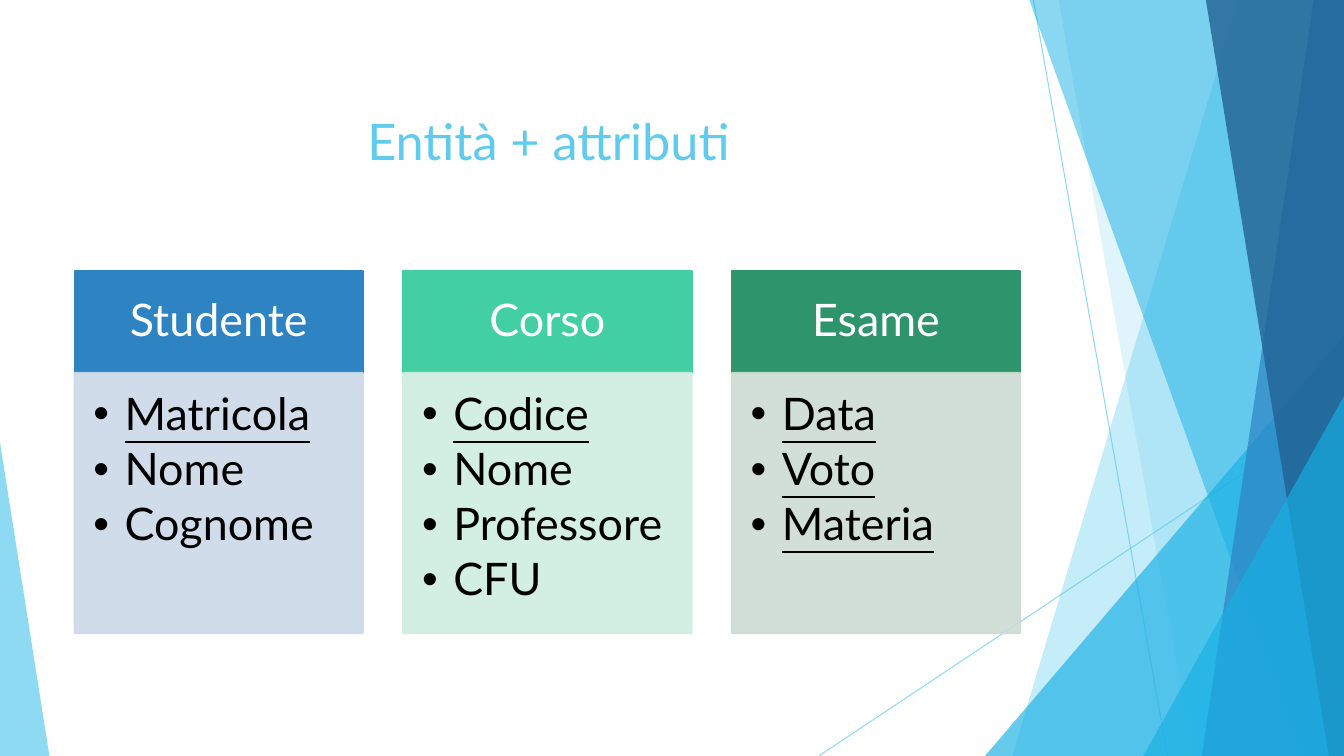
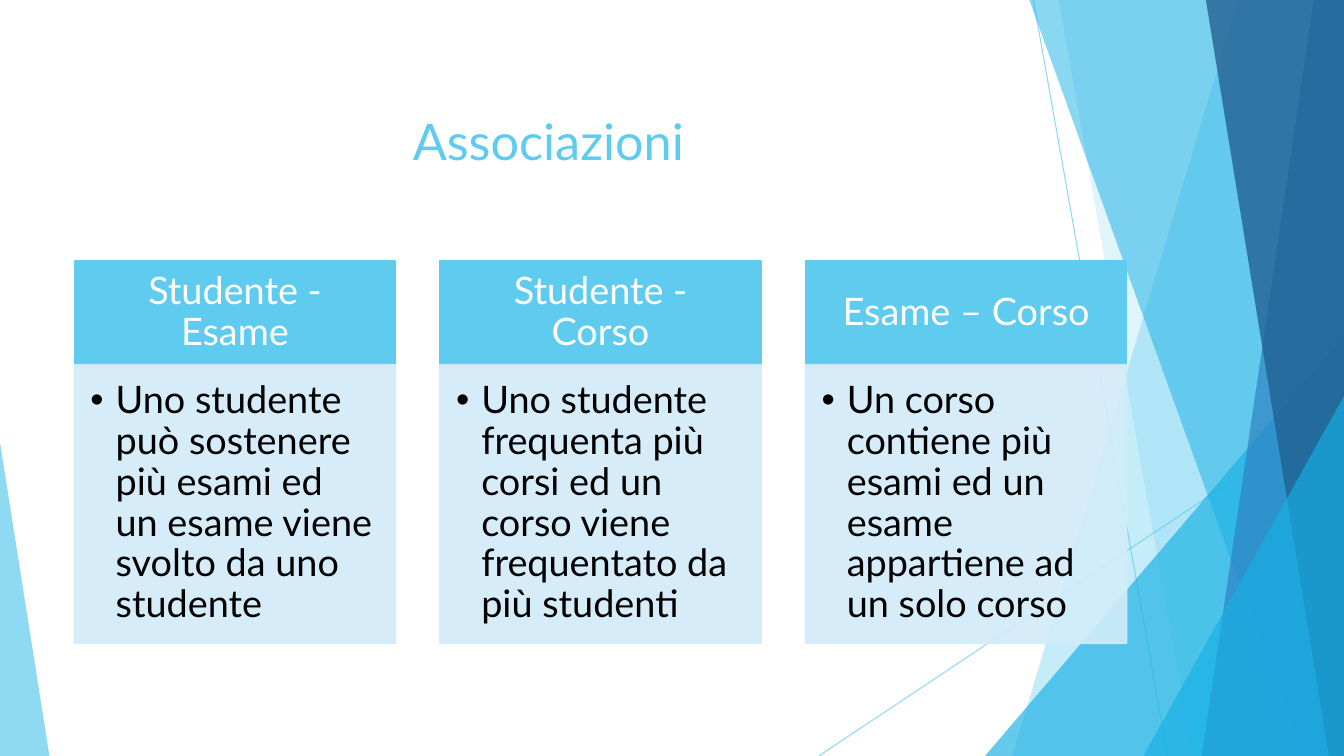
"""Build two slides on the entities and the associations of a data model."""
from dataclasses import dataclass

import lxml.etree
import pptx
import pptx.dml.color
import pptx.enum.shapes
import pptx.enum.text
import pptx.oxml.ns
import pptx.util

WIDTH = pptx.util.Inches(13.33)
HEIGHT = pptx.util.Inches(7.5)
FONT = "Lato"
LEFT_MARGIN = 5.55
COLUMN_PITCH = 1.14
COLORS = {
    "sky": "5FCBEF", "cyan": "17B0E4", "blue": "2E83C3", "navy": "226292",
    "mint": "42D0A2", "green": "2E946B", "white": "FFFFFF", "black": "000000",
    "sky tint": "D2ECF9", "blue tint": "CDD9E9",
    "mint tint": "CFEEE0", "green tint": "CDDCD4",
}


@dataclass(frozen=True)
class Ray:
    """A thin line, with its ends in percent of the slide."""
    start: tuple[float, float]
    end: tuple[float, float]


@dataclass(frozen=True)
class Band:
    """A full-height band from a slanted left edge to the right slide edge."""
    top: float
    bottom: float
    color: str
    opacity: int


@dataclass(frozen=True)
class Corner:
    """A right triangle standing on the bottom of the slide."""
    left: float
    top: float
    width: float
    apex: int
    opacity: int
    color: str


@dataclass(frozen=True)
class Card:
    """A heading over a list whose first key_count items are underlined."""
    heading: str
    items: tuple[str, ...]
    color: str
    key_count: int = 0


@dataclass(frozen=True)
class Page:
    """A title and a row of cards, with lengths in percent of the slide."""
    title: str
    cards: tuple[Card, ...]
    column_width: float
    top: float
    heading_height: float
    list_height: float
    size: int
    indent: float


BACKDROP = (
    Ray((76.89, 0), (86.87, 100)),
    Ray((100, 53.73), (60.92, 100)),
    Band(92.12, 75.32, "sky", 36),
    Band(78.77, 88.75, "sky", 20),
    Corner(73.29, 44.4, 26.71, 1, 66, "cyan"),
    Band(76.59, 96.85, "cyan", 50),
    Band(97.75, 89.42, "blue", 70),
    Band(89.72, 98.87, "navy", 80),
    Corner(85.07, 52.4, 14.93, 1, 66, "cyan"),
    Corner(0, 58.53, 3.68, 0, 70, "sky"),
)

PAGES = (
    Page("Entità + attributi", (
        Card("Studente", ("Matricola", "Nome", "Cognome"), "blue", 1),
        Card("Corso", ("Codice", "Nome", "Professore", "CFU"), "mint", 1),
        Card("Esame", ("Data", "Voto", "Materia"), "green", 3),
    ), 21.45, 35.87, 13.47, 34.4, 32, 0.31),
    Page("Associazioni", (
        Card("Studente - Esame", (
            "Uno studente può sostenere più esami ed un esame viene svolto da uno studente",), "sky"),
        Card("Studente - Corso", (
            "Uno studente frequenta più corsi ed un corso viene frequentato da più studenti",), "sky"),
        Card("Esame – Corso", (
            "Un corso contiene più esami ed un esame appartiene ad un solo corso",), "sky"),
    ), 23.86, 34.53, 13.73, 36.8, 27, 0.25),
)


def across(percent: float) -> int:
    """Turn a share of the slide width into a length."""
    return round(WIDTH * percent / 100)


def down(percent: float) -> int:
    """Turn a share of the slide height into a length."""
    return round(HEIGHT * percent / 100)


def rgb(name: str) -> pptx.dml.color.RGBColor:
    """Look up a palette colour."""
    return pptx.dml.color.RGBColor.from_string(COLORS[name])


def set_opacity(shape, percent: int) -> None:
    """Make the fill and line colours of a shape partly transparent."""
    for color in shape.element.spPr.iter(pptx.oxml.ns.qn("a:srgbClr")):
        alpha = lxml.etree.SubElement(color, pptx.oxml.ns.qn("a:alpha"))
        alpha.set("val", str(percent * 1000))


def draw_ray(shapes, ray: Ray) -> None:
    """Draw one thin line of the backdrop."""
    line = shapes.add_connector(
        pptx.enum.shapes.MSO_CONNECTOR.STRAIGHT,
        across(ray.start[0]), down(ray.start[1]), across(ray.end[0]), down(ray.end[1]))
    line.line.color.rgb = rgb("sky")
    line.line.width = pptx.util.Pt(0.75)
    lxml.etree.SubElement(line.element.spPr, pptx.oxml.ns.qn("a:effectLst"))
    set_opacity(line, 70)


def draw_facet(shapes, facet: Band | Corner) -> None:
    """Draw one translucent band or corner of the backdrop."""
    if isinstance(facet, Band):
        outline = shapes.build_freeform(across(facet.top), 0)
        outline.add_line_segments(
            [(WIDTH, 0), (WIDTH, HEIGHT), (across(facet.bottom), HEIGHT)], close=True)
        shape = outline.convert_to_shape()
    else:
        shape = shapes.add_shape(
            pptx.enum.shapes.MSO_SHAPE.ISOSCELES_TRIANGLE, across(facet.left),
            down(facet.top), across(facet.width), down(100 - facet.top))
        shape.adjustments[0] = facet.apex
    shape.shadow.inherit = False
    shape.fill.solid()
    shape.fill.fore_color.rgb = rgb(facet.color)
    shape.line.fill.background()
    set_opacity(shape, facet.opacity)


def move_backdrop_to_layout(slide, layout) -> None:
    """Draw the backdrop once and hand it to the layout of all slides."""
    backdrop = slide.shapes.add_group_shape()
    for part in BACKDROP:
        if isinstance(part, Ray):
            draw_ray(backdrop.shapes, part)
        else:
            draw_facet(backdrop.shapes, part)
    tree = layout.shapes.element
    tree.insert(2, backdrop.element)
    for number, properties in enumerate(tree.iter(pptx.oxml.ns.qn("p:cNvPr")), start=1):
        properties.set("id", str(number))


def place_layout_title(layout) -> None:
    """Set the title position that all slides inherit."""
    title = next(holder for holder in layout.placeholders if holder.placeholder_format.idx == 0)
    title.left, title.top = across(LEFT_MARGIN), down(8.93)
    title.width, title.height = across(70.52), down(19.2)


def style_run(run, size: int, color: str) -> None:
    """Give a run the deck font, a size and a colour."""
    run.font.name = FONT
    run.font.size = pptx.util.Pt(size)
    run.font.color.rgb = rgb(color)


def draw_title(slide, text: str) -> None:
    """Fill the title placeholder."""
    frame = slide.shapes.title.text_frame
    frame.text = text
    frame.vertical_anchor = pptx.enum.text.MSO_ANCHOR.MIDDLE
    frame.paragraphs[0].alignment = pptx.enum.text.PP_ALIGN.CENTER
    style_run(frame.paragraphs[0].runs[0], 36, "sky")


def draw_panel(slide, box: tuple[int, int, int, int], color: str, text: str,
               size: int, insets: tuple[float, float, float, float]):
    """Draw a rectangle with text and insets in ems, and return it."""
    panel = slide.shapes.add_shape(pptx.enum.shapes.MSO_SHAPE.RECTANGLE, *box)
    panel.shadow.inherit = False
    panel.fill.solid()
    panel.fill.fore_color.rgb = rgb(color)
    panel.line.color.rgb = rgb(color)
    panel.line.width = pptx.util.Pt(1.5)
    frame = panel.text_frame
    frame.text = text
    frame.word_wrap = True
    frame.margin_left, frame.margin_top, frame.margin_right, frame.margin_bottom = (
        pptx.util.Pt(inset * size) for inset in insets)
    for paragraph in frame.paragraphs:
        paragraph.line_spacing = 0.9
        paragraph.alignment = pptx.enum.text.PP_ALIGN.CENTER
    return panel


def add_bullet(paragraph, indent: float) -> None:
    """Give a paragraph a hanging bullet."""
    properties = paragraph._p.get_or_add_pPr()
    hang = pptx.util.Inches(indent)
    properties.set("marL", str(hang))
    properties.set("indent", str(-hang))
    lxml.etree.SubElement(properties, pptx.oxml.ns.qn("a:buFont")).set("typeface", "Arial")
    lxml.etree.SubElement(properties, pptx.oxml.ns.qn("a:buChar")).set("char", "•")


def draw_card(slide, page: Page, card: Card, column: int) -> None:
    """Draw the heading and the list of one card."""
    left = across(LEFT_MARGIN + column * page.column_width * COLUMN_PITCH)
    width = across(page.column_width)
    heading = draw_panel(
        slide, (left, down(page.top), width, down(page.heading_height)),
        card.color, card.heading, page.size, (0.56, 0.32, 0.56, 0.32))
    heading.text_frame.vertical_anchor = pptx.enum.text.MSO_ANCHOR.MIDDLE
    style_run(heading.text_frame.paragraphs[0].runs[0], page.size, "white")

    list_top = down(page.top + page.heading_height)
    details = draw_panel(
        slide, (left, list_top, width, down(page.list_height)),
        f"{card.color} tint", "\n".join(card.items), page.size, (0.42, 0.42, 0.56, 0.64))
    set_opacity(details, 90)
    details.text_frame.vertical_anchor = pptx.enum.text.MSO_ANCHOR.TOP
    for position, paragraph in enumerate(details.text_frame.paragraphs):
        paragraph.alignment = pptx.enum.text.PP_ALIGN.LEFT
        paragraph.space_after = pptx.util.Pt(0.15 * page.size)
        add_bullet(paragraph, page.indent)
        style_run(paragraph.runs[0], page.size, "black")
        paragraph.runs[0].font.underline = position < card.key_count


def main() -> None:
    """Build and save the deck."""
    deck = pptx.Presentation()
    deck.slide_width, deck.slide_height = WIDTH, HEIGHT
    layout = deck.slide_layouts.get_by_name("Title Only")
    place_layout_title(layout)
    for page in PAGES:
        slide = deck.slides.add_slide(layout)
        draw_title(slide, page.title)
        for column, card in enumerate(page.cards):
            draw_card(slide, page, card, column)
    move_backdrop_to_layout(deck.slides[0], layout)
    deck.save("out.pptx")


if __name__ == "__main__":
    main()
